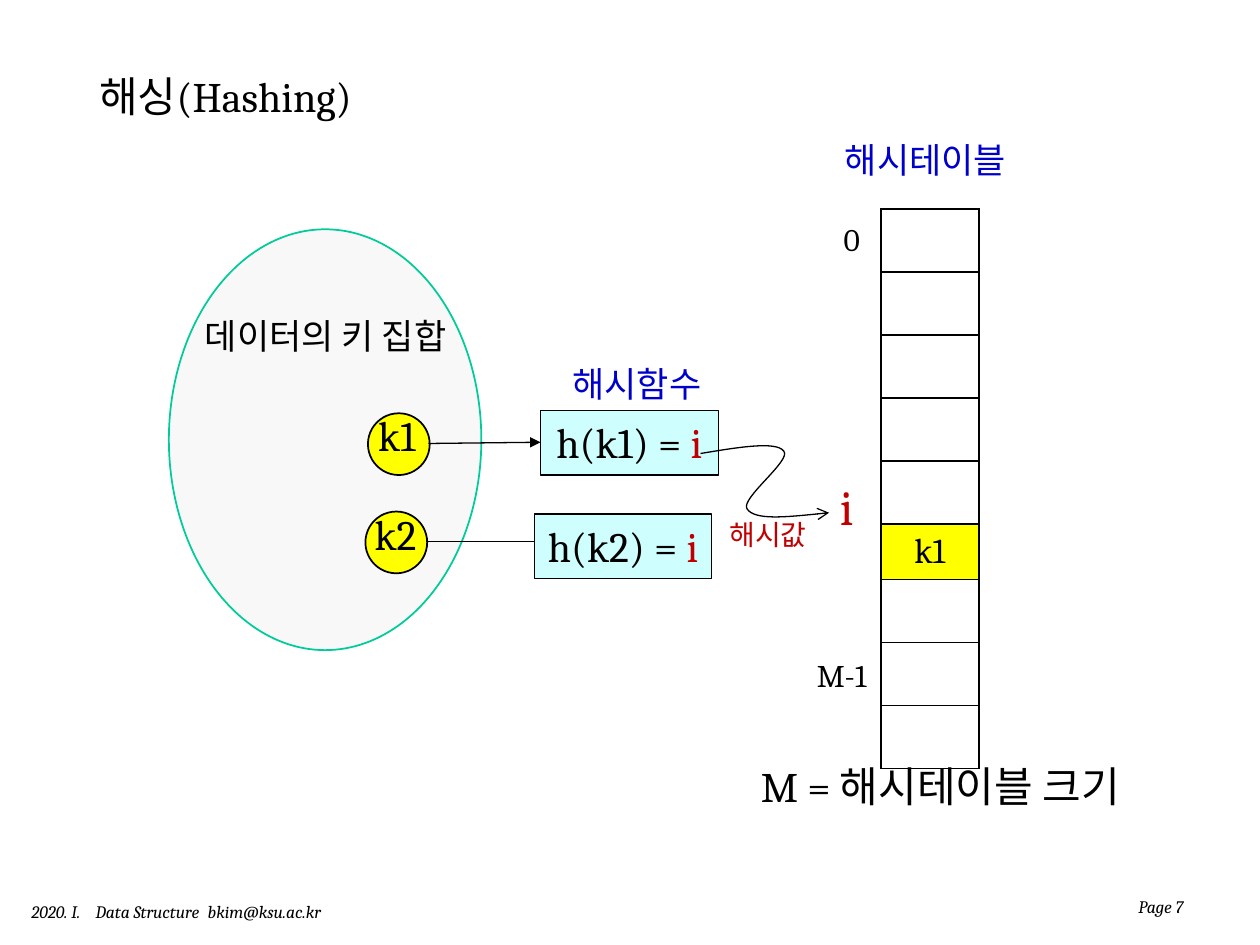
from pptx import Presentation
from pptx.dml.color import RGBColor
from pptx.enum.shapes import MSO_CONNECTOR, MSO_SHAPE
from pptx.enum.text import MSO_ANCHOR, MSO_AUTO_SIZE, PP_ALIGN
from pptx.oxml.ns import qn
from pptx.util import Inches, Pt
from lxml import etree

ELLIPSE, RECTANGLE = MSO_SHAPE.OVAL, MSO_SHAPE.RECTANGLE
STRAIGHT = MSO_CONNECTOR.STRAIGHT
LEFT, CENTER, RIGHT = PP_ALIGN.LEFT, PP_ALIGN.CENTER, PP_ALIGN.RIGHT
TOP, MIDDLE, BOTTOM = MSO_ANCHOR.TOP, MSO_ANCHOR.MIDDLE, MSO_ANCHOR.BOTTOM
GROW, FIXED = MSO_AUTO_SIZE.SHAPE_TO_FIT_TEXT, MSO_AUTO_SIZE.NONE
COLORS = {
    "black": "000000", "blue": "0000CC", "red": "C00000", "yellow": "FFFF00",
    "cyan": "CEFFFE", "green": "00CC99", "gray": "F8F8F8",
}


def rgb(name):
    return RGBColor.from_string(COLORS[name])


def lengths(values):
    return [Inches(value) for value in values]


class SlideBuilder:
    """Holds the style and the current slide, and adds each kind of element."""

    font_name = "Cambria"
    hanging = 0.38

    def __init__(self, slide):
        self.slide = slide
        self.shapes = slide.shapes

    def fill_text(self, frame, spans, size, align=CENTER, hanging=False, tabs=(), italic=None):
        para = frame.paragraphs[0]
        para.alignment = align
        properties = para._p.get_or_add_pPr()
        if hanging:
            properties.set("marL", str(Inches(self.hanging)))
            properties.set("indent", str(-Inches(self.hanging)))
        if tabs:
            stops = etree.SubElement(properties, qn("a:tabLst"))
            for stop in tabs:
                etree.SubElement(stops, qn("a:tab"), pos=str(Inches(stop)), algn="l")
        styles = {"name": self.font_name, "size": Pt(size), "italic": italic}
        for words, color in spans:
            span = para.add_run()
            span.text = words
            for name, value in styles.items():
                setattr(span.font, name, value)
            span.font.color.rgb = rgb(color)

    def arrange(self, frame, wrap, anchor=TOP, fit=GROW):
        layout = {"word_wrap": wrap, "vertical_anchor": anchor, "auto_size": fit}
        for name, value in layout.items():
            setattr(frame, name, value)

    def text(self, at, words, size, color="black", wrap=True, anchor=TOP, fit=GROW, **style):
        box = self.shapes.add_textbox(*lengths(at))
        self.arrange(box.text_frame, wrap, anchor, fit)
        self.fill_text(box.text_frame, [(words, color)], size, **style)

    def label(self, at, words, size, color="black"):
        self.text(at, words, size, color, wrap=False, hanging=True)

    def shape(self, kind, at, fill, line="black", width=1):
        shape = self.shapes.add_shape(kind, *lengths(at))
        shape.shadow.inherit = False
        shape.fill.solid()
        shape.fill.fore_color.rgb = rgb(fill)
        self.outline(shape, line, width)
        return shape

    def outline(self, shape, color="black", width=0.75, arrow=None):
        shape.line.color.rgb = rgb(color)
        shape.line.width = Pt(width)
        if arrow:
            etree.SubElement(shape.line._get_or_add_ln(), qn("a:tailEnd"), type=arrow)

    def key(self, circle_at, label_at, name):
        self.shape(ELLIPSE, circle_at, "yellow")
        self.label(label_at, name, 24)

    def hash_box(self, at, name):
        box = self.shape(RECTANGLE, at, "cyan", width=0.75)
        self.arrange(box.text_frame, wrap=False)
        spans = [(f"h({name}) = ", "black"), ("i", "red")]
        self.fill_text(box.text_frame, spans, 24, hanging=True)

    def arrow(self, start, end):
        line = self.shapes.add_connector(STRAIGHT, *lengths(start + end))
        self.outline(line, arrow="triangle")
        etree.SubElement(line._element.spPr, qn("a:effectLst"))

    def curve(self, points):
        start, *rest = [lengths(point) for point in points]
        builder = self.shapes.build_freeform(*start, scale=1.0)
        builder.add_line_segments(rest, close=False)
        shape = builder.convert_to_shape()
        shape.shadow.inherit = False
        shape.fill.background()
        self.outline(shape, arrow="arrow")
        segments = list(shape._element.iter(qn("a:lnTo")))
        for first in range(0, len(segments), 3):
            bezier = etree.Element(qn("a:cubicBezTo"))
            segments[first].addprevious(bezier)
            for segment in segments[first:first + 3]:
                bezier.append(segment[0])
                segment.getparent().remove(segment)

    def border(self, cell):
        properties = cell._tc.get_or_add_tcPr()
        for index, side in enumerate(("lnL", "lnR", "lnT", "lnB")):
            line = etree.Element(qn(f"a:{side}"), w=str(Pt(1)))
            fill = etree.SubElement(line, qn("a:solidFill"))
            etree.SubElement(fill, qn("a:srgbClr"), val=COLORS["black"])
            properties.insert(index, line)

    def hash_table(self, left, top, width, row_heights, key_row, key_name):
        at = (left, top, width, sum(row_heights))
        table = self.shapes.add_table(len(row_heights), 1, *lengths(at)).table
        table.first_row = table.horz_banding = False
        for index, height in enumerate(row_heights):
            table.rows[index].height = Inches(height)
            cell = table.cell(index, 0)
            cell.fill.background()
            if index == key_row:
                cell.fill.solid()
                cell.fill.fore_color.rgb = rgb("yellow")
                cell.vertical_anchor = MIDDLE
                cell.margin_top = cell.margin_bottom = Inches(0.02)
                self.fill_text(cell.text_frame, [(key_name, "black")], 20)
            self.border(cell)


def main():
    deck = Presentation()
    deck.slide_width, deck.slide_height = Inches(10), Inches(7.5)
    page = SlideBuilder(deck.slides.add_slide(deck.slide_layouts[6]))

    page.text((0.15, 7.1, 2.58, 0.27), "2020. I.\tData Structure\tbkim@ksu.ac.kr", 10,
              align=LEFT, tabs=(0.51, 1.4), italic=True)
    page.label((4.39, 2.83, 1.33, 0.44), "해시함수", 20, "blue")
    page.label((6.56, 3.73, 0.32, 0.57), "i", 28, "red")
    page.shape(ELLIPSE, (1.34, 1.82, 2.48, 3.34), "gray", "green")
    page.key((2.92, 3.28, 0.49, 0.49), (2.87, 3.2, 0.56, 0.51), "k1")
    page.hash_box((4.29, 3.26, 1.41, 0.51), "k1")
    page.label((1.43, 2.45, 2.31, 0.44), "데이터의 키 집합", 20)
    page.label((6.54, 1.05, 1.61, 0.44), "해시테이블", 20, "blue")
    page.text((6.54, 1.7, 0.44, 0.4), "0", 18)
    page.text((6.26, 5.16, 0.84, 0.4), "M-1", 18)
    page.text((5.55, 4.06, 1.09, 0.37), "해시값", 16, "red")
    page.hash_table(6.99, 1.66, 0.78, [0.5] * 5 + [0.44] + [0.5] * 3, 5, "k1")
    page.arrow((3.4, 3.52), (4.29, 3.51))
    page.curve([
        (5.56, 3.6), (5.86, 3.55), (6.16, 3.5), (6.22, 3.58), (6.29, 3.65),
        (5.87, 3.96), (5.93, 4.04), (5.99, 4.13), (6.29, 4.1), (6.58, 4.07),
    ])
    page.text((5.94, 5.99, 3.31, 0.5), "M = 해시테이블 크기", 24, align=LEFT)
    page.text((0.69, 0.4, 8.62, 0.72), "해싱(Hashing)", 24, anchor=MIDDLE,
              fit=FIXED, align=LEFT)
    page.text((7.67, 6.83, 1.82, 0.5), "Page 7", 10, anchor=BOTTOM, fit=FIXED,
              align=RIGHT, italic=True)
    page.key((2.9, 4.06, 0.49, 0.49), (2.86, 3.99, 0.56, 0.51), "k2")
    page.arrow((3.4, 4.3), (4.33, 4.3))
    page.hash_box((4.24, 4.08, 1.41, 0.51), "k2")
    deck.save("out.pptx")


if __name__ == "__main__":
    main()
